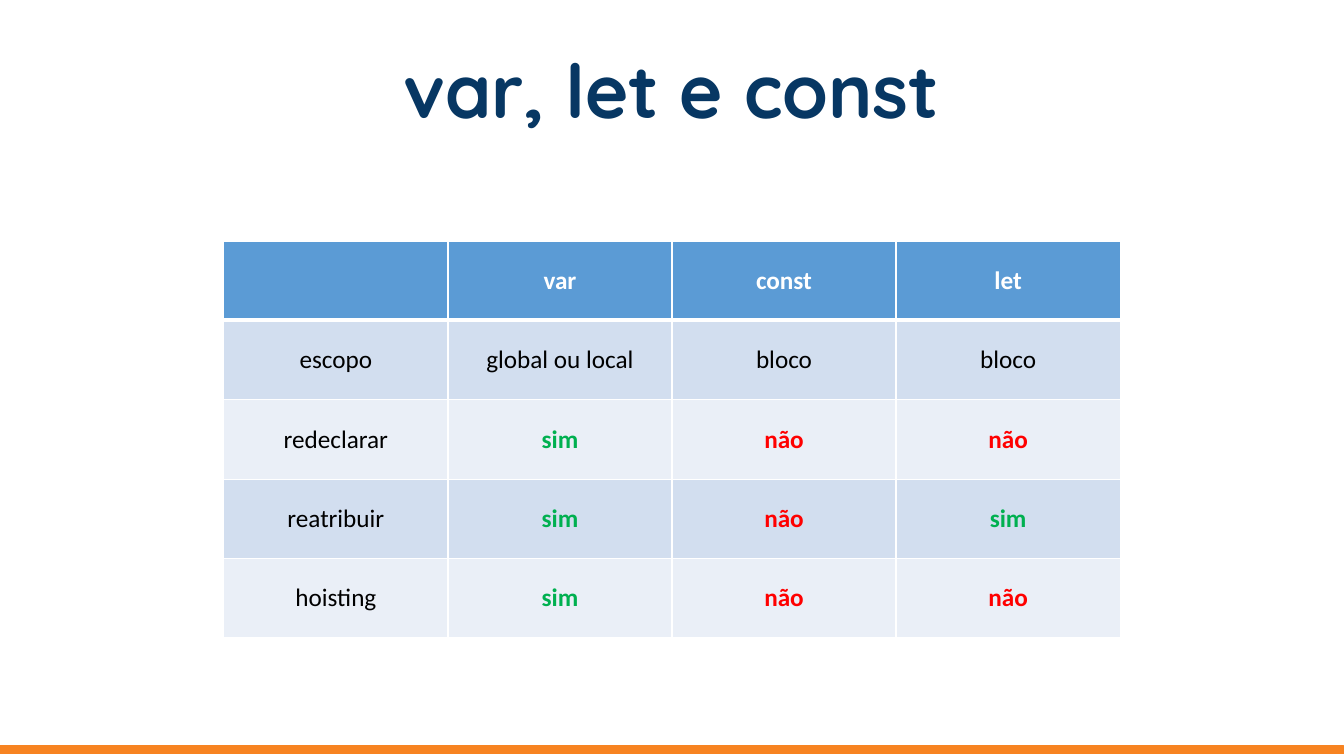
"""Build a slide with a table that compares var, let and const."""
import dataclasses

import pptx
import pptx.dml.color
import pptx.enum.shapes
import pptx.enum.text
import pptx.oxml
import pptx.oxml.ns
import pptx.util

Inches = pptx.util.Inches
Pt = pptx.util.Pt
NAVY, ORANGE, WHITE, BLACK = "073763", "F78321", "FFFFFF", "000000"
HEAD, BANDS = "5B9BD5", ("EAEFF7", "D2DEEF")
MARKS = {"sim": "00B050", "não": "FF0000"}
ROWS = (
    ("", "var", "const", "let"),
    ("escopo", "global ou local", "bloco", "bloco"),
    ("redeclarar", "sim", "não", "não"),
    ("reatribuir", "sim", "não", "sim"),
    ("hoisting", "sim", "não", "não"),
)


@dataclasses.dataclass(frozen=True)
class Style:
    font: str
    size: float
    color: str
    bold: bool


@dataclasses.dataclass(frozen=True)
class Entry:
    text: str
    fill: str
    style: Style
    top: float
    bottom: float


def color(code: str) -> pptx.dml.color.RGBColor:
    return pptx.dml.color.RGBColor.from_string(code)


def write(frame, text: str, style: Style) -> None:
    para = frame.paragraphs[0]
    para.alignment = pptx.enum.text.PP_ALIGN.CENTER
    run = para.add_run()
    run.text = text
    run.font.name = style.font
    run.font.size = Pt(style.size)
    run.font.bold = style.bold
    run.font.color.rgb = color(style.color)


def border(cell, side: str, width: float) -> None:
    space = pptx.oxml.ns.nsdecls("a")
    line = pptx.oxml.parse_xml(
        f'<a:ln{side} {space} w="{Pt(width)}"><a:solidFill>'
        f'<a:srgbClr val="{WHITE}"/></a:solidFill></a:ln{side}>'
    )
    cell._tc.get_or_add_tcPr().append(line)


def entry(text: str, row: int) -> Entry:
    head = row == 0
    tone = WHITE if head else MARKS.get(text, BLACK)
    style = Style("Calibri", 18, tone, head or text in MARKS)
    fill = HEAD if head else BANDS[row % 2]
    return Entry(text, fill, style, 3 if row == 1 else 1, 3 if head else 1)


def draw(cell, item: Entry) -> None:
    for side, width in (("L", 1), ("R", 1), ("T", item.top), ("B", item.bottom)):
        border(cell, side, width)
    cell.fill.solid()
    cell.fill.fore_color.rgb = color(item.fill)
    cell.vertical_anchor = pptx.enum.text.MSO_ANCHOR.MIDDLE
    if item.text:
        write(cell.text_frame, item.text, item.style)


def add_title(slide) -> None:
    title = slide.shapes.title
    title.left, title.top = Inches(0.45), Inches(0.45)
    title.width, title.height = Inches(12.42), Inches(0.86)
    frame = title.text_frame
    frame.auto_size = pptx.enum.text.MSO_AUTO_SIZE.NONE
    frame.vertical_anchor = pptx.enum.text.MSO_ANCHOR.MIDDLE
    frame.margin_left = frame.margin_right = Inches(0.13)
    frame.margin_top = frame.margin_bottom = Inches(0.13)
    write(frame, "var, let e const", Style("Quicksand", 53.3, NAVY, True))


def add_bar(slide) -> None:
    bar = slide.shapes.add_shape(
        pptx.enum.shapes.MSO_SHAPE.RECTANGLE,
        0, Inches(7.4), Inches(13.33), Inches(0.08),
    )
    bar.shadow.inherit = False
    bar.fill.solid()
    bar.fill.fore_color.rgb = color(ORANGE)
    bar.line.color.rgb = color(ORANGE)
    bar.line.width = Pt(0.75)


def add_grid(slide) -> None:
    grid = slide.shapes.add_table(
        len(ROWS), len(ROWS[0]),
        Inches(2.22), Inches(2.39), Inches(8.89), Inches(3.94),
    ).table
    for row, texts in enumerate(ROWS):
        for col, text in enumerate(texts):
            draw(grid.cell(row, col), entry(text, row))


def main() -> None:
    deck = pptx.Presentation()
    deck.slide_width, deck.slide_height = Inches(13.33), Inches(7.5)
    slide = deck.slides.add_slide(deck.slide_layouts.get_by_name("Title Only"))
    add_title(slide)
    add_bar(slide)
    add_grid(slide)
    deck.save("out.pptx")


if __name__ == "__main__":
    main()
